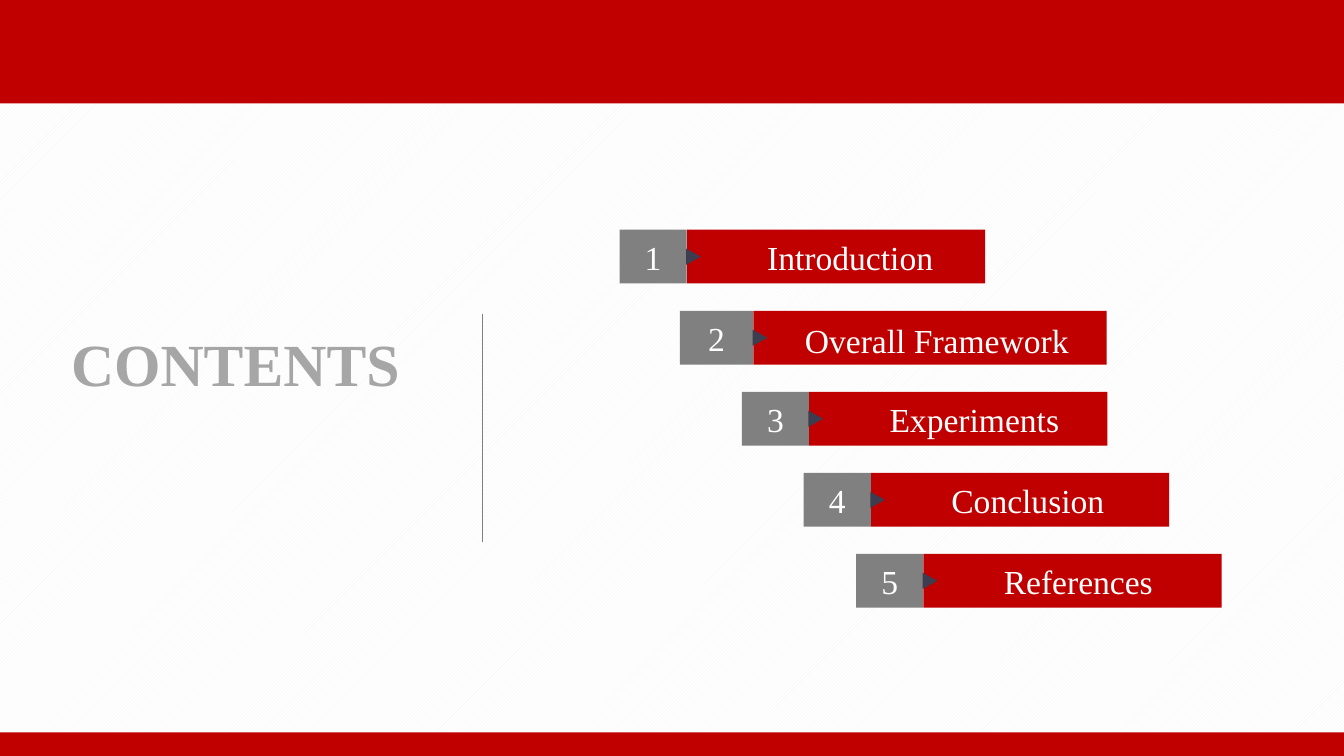
from lxml.etree import SubElement
from pptx import Presentation
from pptx.dml.color import RGBColor
from pptx.enum.dml import MSO_PATTERN
from pptx.enum.shapes import MSO_CONNECTOR, MSO_SHAPE as Preset
from pptx.enum.text import MSO_ANCHOR, MSO_AUTO_SIZE, PP_ALIGN
from pptx.oxml.ns import qn
from pptx.util import Inches, Pt

# The grid has square cells, 100 columns across the slide
COLUMNS, ROWS = 100, 56.25
RED, GREY, SILVER, SLATE, WHITE = "C00000", "808080", "A6A6A6", "3E3D4F", "FFFFFF"
FONT = "Times New Roman"

# Steps of the staircase: label, left column, number width, bar width
STEPS = [
    ("Introduction", 46.1, 5, 22.2),
    ("Overall Framework", 50.6, 5.45, 26.3),
    ("Experiments", 55.2, 5, 22.2),
    ("Conclusion", 59.8, 5, 22.2),
    ("References", 63.7, 5, 22.2),
]
FIRST_ROW, ROW_STEP, STEP_HEIGHT = 17.1, 6.03, 4
LABEL_INDENT = 5


def grid(*cells):
    return [Inches(cell / 10) for cell in cells]


def color(hex_string):
    return RGBColor.from_string(hex_string)


def add_block(parent, preset, box, fill):
    block = parent.shapes.add_shape(preset, *grid(*box))
    block.shadow.inherit = False
    block.fill.solid()
    block.fill.fore_color.rgb = color(fill)
    block.line.fill.background()
    return block


def write(target, text, size=18, ink=WHITE, bold=False, align=PP_ALIGN.LEFT):
    paragraph = target.text_frame.paragraphs[0]
    paragraph.text = text
    paragraph.alignment = align
    font = paragraph.runs[0].font
    font.name, font.size, font.bold = FONT, Pt(size), bold
    font.color.rgb = color(ink)
    return paragraph


def add_text(slide, box, text, wrap, **style):
    label = slide.shapes.add_textbox(*grid(*box))
    label.text_frame.word_wrap = wrap
    label.text_frame.auto_size = MSO_AUTO_SIZE.SHAPE_TO_FIT_TEXT
    write(label, text, **style)


def add_divider(slide, column, top, bottom):
    divider = slide.shapes.add_connector(
        MSO_CONNECTOR.STRAIGHT, *grid(column, top, column, bottom))
    divider.line.color.rgb = color(GREY)
    divider.line.width = Pt(0.75)
    SubElement(divider._element.spPr, qn("a:effectLst"))


def add_step(slide, number, label, left, number_width, bar_width):
    top = FIRST_ROW + (number - 1) * ROW_STEP
    bar_left = left + number_width
    step = slide.shapes.add_group_shape()
    bar = add_block(step, Preset.RECTANGLE, (bar_left, top, bar_width, STEP_HEIGHT), RED)
    badge = add_block(step, Preset.RECTANGLE, (left, top, number_width, STEP_HEIGHT), GREY)
    pointer = add_block(step, Preset.ISOSCELES_TRIANGLE,
                        (bar_left - 0.1, top + 1.45, 1.2, 1.1), SLATE)
    pointer.rotation = 90
    write(badge, str(number), align=PP_ALIGN.CENTER)
    for part in (bar, badge):
        part.text_frame.vertical_anchor = MSO_ANCHOR.MIDDLE

    # The long label has a box of its own, the others are indented in the bar
    if bar_width > 25:
        add_text(slide, (bar_left + 2.85, top + 0.2, 21.9, 3.7), label, wrap=False)
    else:
        paragraph = write(bar, label)
        paragraph._p.get_or_add_pPr().set("indent", str(grid(LABEL_INDENT)[0]))


def main():
    deck = Presentation()
    deck.slide_width, deck.slide_height = grid(COLUMNS, ROWS)
    slide = deck.slides.add_slide(deck.slide_layouts[6])

    # Hatched background
    hatch = slide.background.fill
    hatch.patterned()
    hatch.pattern = MSO_PATTERN.LIGHT_UPWARD_DIAGONAL
    hatch.fore_color.rgb = color("F2F2F2")
    hatch.back_color.rgb = color(WHITE)

    # Header and footer bands
    for top, height in ((0, 7.7), (54.5, ROWS - 54.5)):
        add_block(slide, Preset.RECTANGLE, (0, top, COLUMNS, height), RED)

    # Title and divider
    add_text(slide, (4.3, 23.8, 34.2, 6.4), "CONTENTS", wrap=True,
             size=32, ink=SILVER, bold=True)
    add_divider(slide, 35.9, 23.4, 40.3)

    # Staircase of sections
    for number, step in enumerate(STEPS, start=1):
        add_step(slide, number, *step)

    deck.save("out.pptx")


if __name__ == "__main__":
    main()
